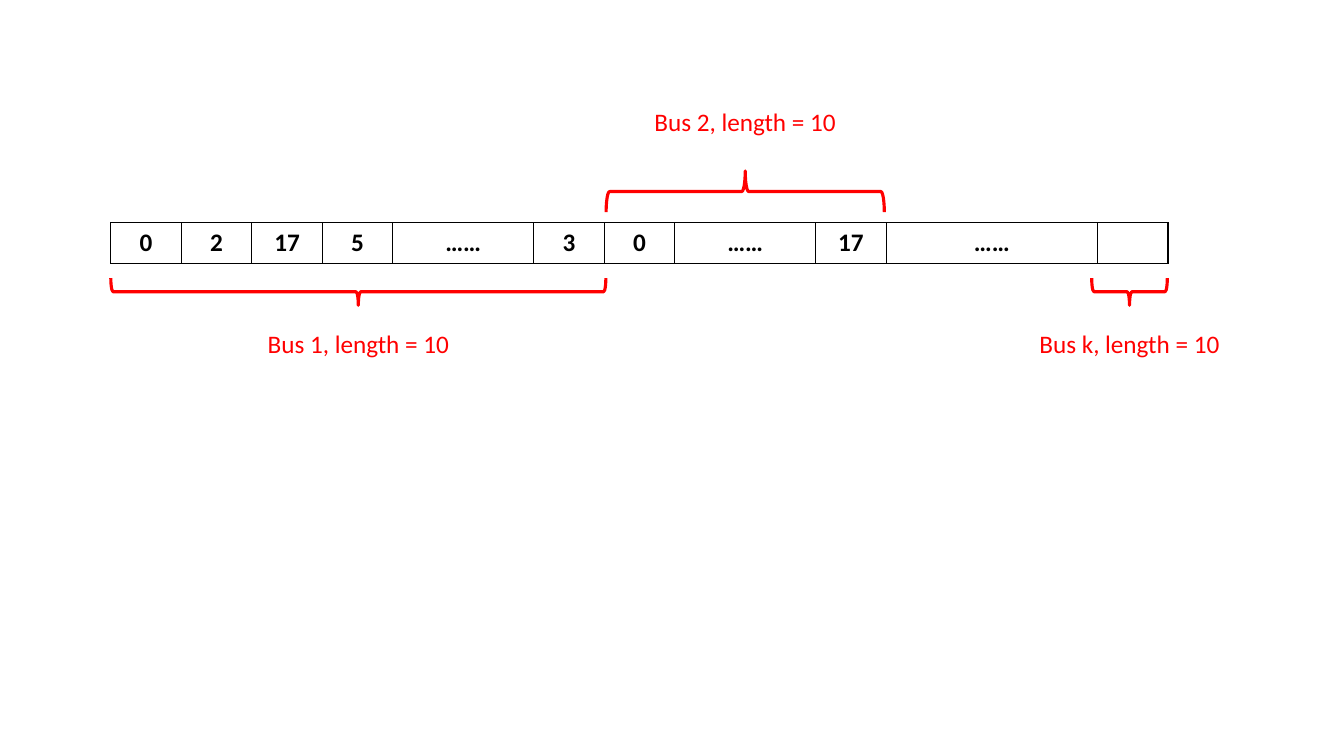
from lxml import etree
from pptx import Presentation
from pptx.dml.color import RGBColor
from pptx.enum.shapes import MSO_SHAPE
from pptx.enum.text import MSO_ANCHOR, MSO_AUTO_SIZE, PP_ALIGN
from pptx.oxml.ns import qn
from pptx.util import Pt

BRACE = MSO_SHAPE.LEFT_BRACE
MIDDLE = MSO_ANCHOR.MIDDLE
CENTER = PP_ALIGN.CENTER
GROW = MSO_AUTO_SIZE.SHAPE_TO_FIT_TEXT
COLORS = {"cell": "FFFFFF", "ink": "000000", "bus": "FF0000"}


def style_text(paragraph, color, bold=False):
    paragraph.alignment = CENTER
    paragraph.font.name = "Calibri"
    paragraph.font.size = Pt(18)
    paragraph.font.bold = bold
    paragraph.font.color.rgb = RGBColor.from_string(COLORS[color])


def add_borders(cell):
    properties = cell._tc.get_or_add_tcPr()
    for position, side in enumerate(("lnL", "lnR", "lnT", "lnB")):
        border = etree.Element(qn(f"a:{side}"), w=str(Pt(1)))
        fill = etree.SubElement(border, qn("a:solidFill"))
        etree.SubElement(fill, qn("a:srgbClr"), val=COLORS["ink"])
        properties.insert(position, border)


prs = Presentation()
prs.slide_width, prs.slide_height = Pt(960), Pt(540)
slide = prs.slides.add_slide(prs.slide_layouts[6])

# Memory row: each entry with its width in slots
SLOT = 50.35
entries = [("0", 1), ("2", 1), ("17", 1), ("5", 1), ("……", 2), ("3", 1),
           ("0", 1), ("……", 2), ("17", 1), ("……", 3), ("", 1)]
row_width = SLOT * sum(slots for _, slots in entries)
memory_row = slide.shapes.add_table(
    1, len(entries), Pt(79.2), Pt(159.2), Pt(row_width), Pt(29.2)).table
memory_row.first_row = memory_row.horz_banding = False
for column, (value, slots) in enumerate(entries):
    memory_row.columns[column].width = Pt(SLOT * slots)
    cell = memory_row.cell(0, column)
    cell.text = value
    cell.vertical_anchor = MIDDLE
    cell.fill.solid()
    cell.fill.fore_color.rgb = RGBColor.from_string(COLORS["cell"])
    style_text(cell.text_frame.paragraphs[0], "ink", bold=True)
    add_borders(cell)

# Buses: name, centre x, brace centre y, span, depth, rotation, label top, label width
buses = [("1", 256, 208.4, 353.6, 19.4, 270, 231, 168),
         ("2", 532.3, 136.8, 198.7, 29.5, 90, 72.7, 185),
         ("k", 806.8, 208.4, 54, 19.4, 270, 231, 161)]
for name, center, middle, span, depth, rotation, label_top, label_width in buses:
    # A brace is drawn upright and turned about its centre
    brace = slide.shapes.add_shape(
        BRACE, Pt(center - depth / 2), Pt(middle - span / 2), Pt(depth), Pt(span))
    brace.rotation = rotation
    brace.shadow.inherit = False
    brace.fill.background()
    brace.line.color.rgb = RGBColor.from_string(COLORS["bus"])
    brace.line.width = Pt(2.25)

    label = slide.shapes.add_textbox(
        Pt(center - label_width / 2), Pt(label_top), Pt(label_width), Pt(29))
    label.text_frame.word_wrap = True
    label.text_frame.auto_size = GROW
    label.text_frame.text = f"Bus {name}, length = 10"
    style_text(label.text_frame.paragraphs[0], "bus")

prs.save("out.pptx")
